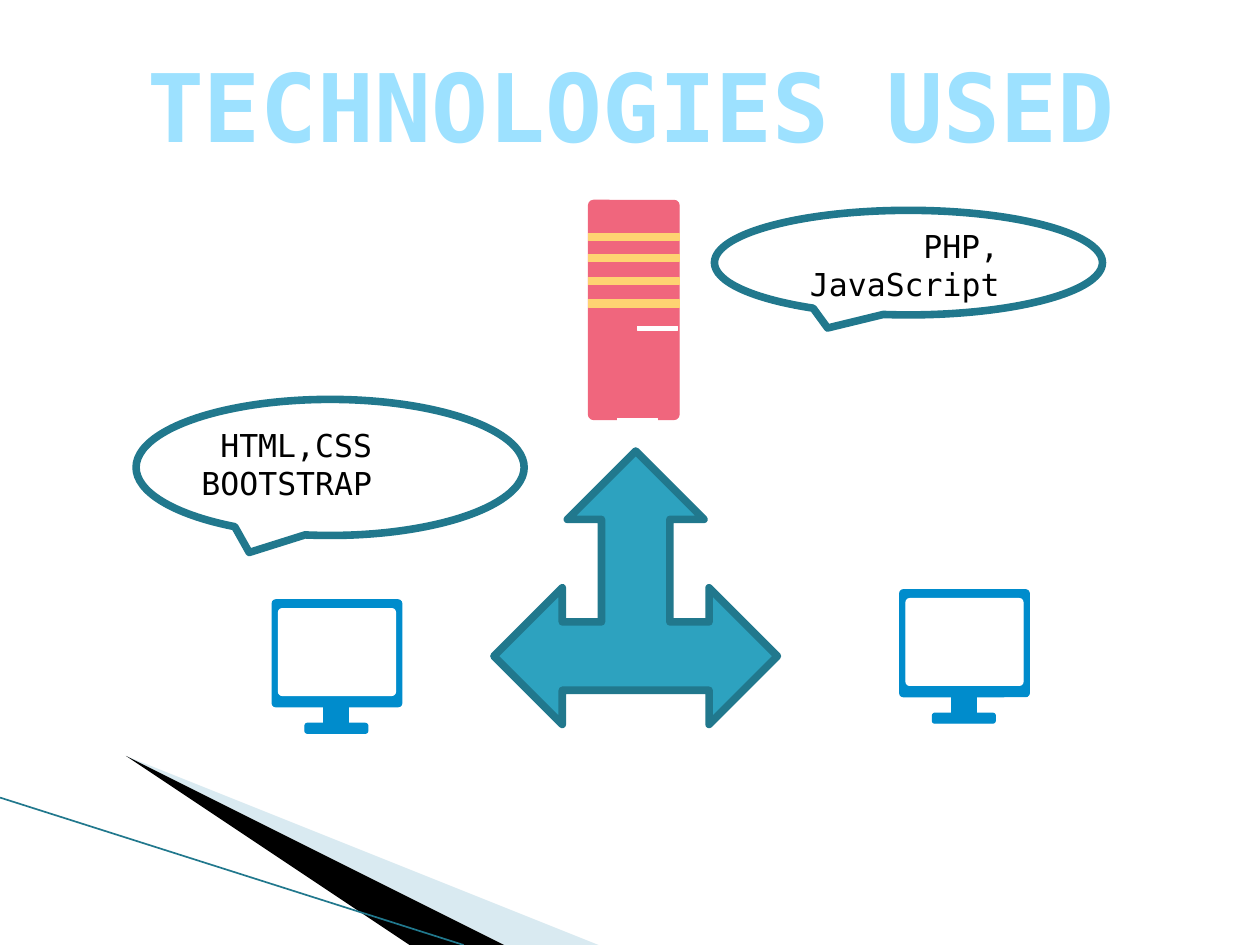
from dataclasses import dataclass

from pptx import Presentation
from pptx.dml.color import RGBColor as RGB
from pptx.enum.shapes import MSO_CONNECTOR as Conn, MSO_SHAPE as Kind
from pptx.enum.text import MSO_ANCHOR as Anchor, MSO_AUTO_SIZE as Auto, PP_ALIGN as Align
from pptx.oxml.ns import qn
from pptx.oxml.xmlchemy import OxmlElement as make
from pptx.shapes.autoshape import Shape
from pptx.slide import Slide
from pptx.util import Inches, Pt

FONT = "DejaVu Sans Mono"
SKY = RGB(0x9D, 0xE1, 0xFF)
MIST = RGB(0xA0, 0xCB, 0xDC)
TEAL = RGB(0x2D, 0xA2, 0xBF)
DEEP = RGB(0x21, 0x78, 0x8D)
BLUE = RGB(0x00, 0x8C, 0xCC)
PINK = RGB(0xF0, 0x66, 0x7D)
GOLD = RGB(0xFE, 0xD3, 0x72)
WHITE = RGB(0xFF, 0xFF, 0xFF)
BLACK = RGB(0x00, 0x00, 0x00)


@dataclass
class Box:
    left: float
    top: float
    width: float
    height: float

    def place(self) -> tuple:
        return tuple(Inches(v) for v in (self.left, self.top, self.width, self.height))


@dataclass
class Bubble:
    shape: Box
    label: Box
    lines: list[str]
    indent: float  # shift of the first line


@dataclass
class Part:
    box: Box  # offset from the corner of the monitor, and size
    radius: float
    color: RGB


BUBBLES = [
    Bubble(Box(5.67, 1.67, 3.08, 0.83), Box(6.33, 1.75, 1.83, 0.71),
           ["PHP, JavaScript"], 0.9),
    Bubble(Box(1.08, 3.17, 3.08, 1.08), Box(1.5, 3.33, 2.08, 0.71),
           ["HTML,CSS", "BOOTSTRAP"], 0.15),
]
MONITOR = [
    Part(Box(0, 0, 1.03, 0.85), 0.03, BLUE),
    Part(Box(0.41, 0.85, 0.2, 0.13), 0, BLUE),
    Part(Box(0.26, 0.98, 0.5, 0.08), 0.02, BLUE),
    Part(Box(0.05, 0.07, 0.93, 0.69), 0.03, WHITE),
]
DESKS = [(2.16, 4.76), (7.14, 4.68)]
SLOTS = [1.85, 2.02, 2.2, 2.38]


def add_shape(slide: Slide, kind: Kind, box: Box, fill: RGB, line: RGB, width: float) -> Shape:
    shape = slide.shapes.add_shape(kind, *box.place())
    shape.shadow.inherit = False
    shape.fill.solid()
    shape.fill.fore_color.rgb = fill
    shape.line.color.rgb = line
    shape.line.width = Pt(width)
    return shape


def add_block(slide: Slide, box: Box, color: RGB, radius: float = 0) -> None:
    kind = Kind.ROUNDED_RECTANGLE if radius else Kind.RECTANGLE
    shape = add_shape(slide, kind, box, color, color, 0.6)
    if radius:
        shape.adjustments[0] = radius / min(box.width, box.height)


def add_wedge(slide: Slide, points: list[tuple], color: RGB, alpha: int = 100) -> None:
    pen = slide.shapes.build_freeform(*points[0], scale=Inches(1))
    pen.add_line_segments(points[1:], close=True)
    shape = pen.convert_to_shape()
    shape.shadow.inherit = False
    shape.fill.solid()
    shape.fill.fore_color.rgb = color
    shape.line.fill.background()
    if alpha < 100:
        node = make("a:alpha")
        node.set("val", str(alpha * 1000))
        shape.fill._xPr.find(qn("a:solidFill"))[0].append(node)


def add_edge(slide: Slide, start: tuple, end: tuple) -> None:
    ends = [Inches(v) for v in start + end]
    edge = slide.shapes.add_connector(Conn.STRAIGHT, *ends)
    edge.line.color.rgb = DEEP
    edge.line.width = Pt(0.95)
    edge._element.spPr.append(make("a:effectLst"))


def add_bubble(slide: Slide, item: Bubble) -> None:
    add_shape(slide, Kind.OVAL_CALLOUT, item.shape, WHITE, DEEP, 4.33)
    frame = slide.shapes.add_textbox(*item.label.place()).text_frame
    frame.word_wrap = True
    frame.text = "\n".join(item.lines)
    for para in frame.paragraphs:
        para.font.name = FONT
        para.font.size = Pt(18)
        para.font.color.rgb = BLACK
    frame.paragraphs[0]._p.get_or_add_pPr().set("indent", str(Inches(item.indent)))


def set_title(slide: Slide, text: str, box: Box) -> None:
    title = slide.shapes.title
    title.left, title.top, title.width, title.height = box.place()
    frame = title.text_frame
    frame.text = text
    frame.auto_size = Auto.NONE
    frame.vertical_anchor = Anchor.MIDDLE
    para = frame.paragraphs[0]
    para.alignment = Align.CENTER
    para.font.name = FONT
    para.font.size = Pt(54)
    para.font.bold = True
    para.font.color.rgb = SKY


def main() -> None:
    deck = Presentation()
    deck.slide_width, deck.slide_height = Inches(10), Inches(7.5)
    slide = deck.slides.add_slide(deck.slide_layouts[5])

    # Corner wedges
    add_wedge(slide, [(0.55, 6.5), (5.9, 7.5), (4.56, 7.5)], MIST, 40)
    add_wedge(slide, [(0.53, 6.49), (4.53, 7.5), (3.7, 7.5)], BLACK)
    add_edge(slide, (0, 6.33), (3.68, 7.5))

    # Monitors
    for left, top in DESKS:
        for part in MONITOR:
            box = part.box
            spot = Box(left + box.left, top + box.top, box.width, box.height)
            add_block(slide, spot, part.color, part.radius)

    # Server tower
    add_block(slide, Box(4.67, 1.59, 0.72, 1.74), PINK, 0.04)
    for top in SLOTS:
        add_block(slide, Box(4.67, top, 0.72, 0.06), GOLD)
    for left, top in [(5.06, 2.59), (4.9, 3.32)]:
        add_block(slide, Box(left, top, 0.32, 0.03), WHITE)

    # Links and captions
    add_shape(slide, Kind.LEFT_RIGHT_UP_ARROW, Box(3.92, 3.58, 2.25, 2.17), TEAL, DEEP, 4.33)
    for item in BUBBLES:
        add_bubble(slide, item)

    set_title(slide, "TECHNOLOGIES USED", Box(0.42, 0.33, 9.17, 1.01))
    deck.save("out.pptx")


if __name__ == "__main__":
    main()
